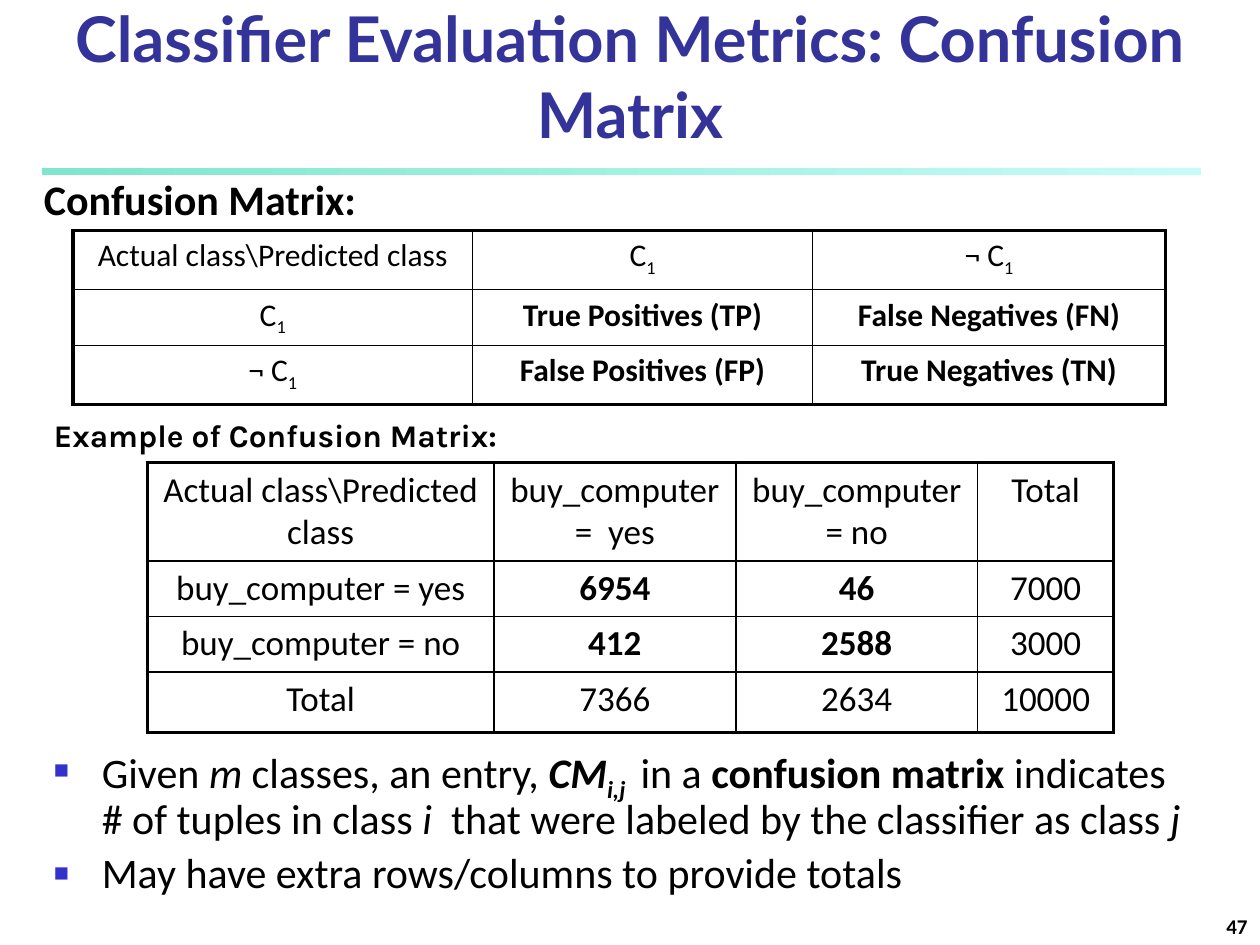
from lxml import etree
from pptx import Presentation
from pptx.dml.color import RGBColor
from pptx.enum.shapes import MSO_SHAPE
from pptx.enum.text import MSO_ANCHOR, MSO_AUTO_SIZE, PP_ALIGN
from pptx.oxml.ns import qn
from pptx.util import Inches, Pt

CENTER, LEFT, RIGHT = PP_ALIGN.CENTER, PP_ALIGN.LEFT, PP_ALIGN.RIGHT
TOP, BOTTOM = MSO_ANCHOR.TOP, MSO_ANCHOR.BOTTOM
RECTANGLE = MSO_SHAPE.RECTANGLE
FIXED = MSO_AUTO_SIZE.NONE
TITLE_ONLY = 5

C1 = [("C", ""), ("1", "s")]
NOT_C1 = [("¬ C", ""), ("1", "s")]
CLASS_HEADER = "Actual class\\Predicted class"

DEFINITION_ROWS = [
    [CLASS_HEADER, C1, NOT_C1],
    [C1, [("True Positives (TP)", "b")], [("False Negatives (FN)", "b")]],
    [NOT_C1, [("False Positives (FP)", "b")], [("True Negatives (TN)", "b")]],
]
EXAMPLE_ROWS = [
    [CLASS_HEADER, "buy_computer =  yes", "buy_computer = no", "Total"],
    ["buy_computer = yes", [("6954", "b")], [("46", "b")], "7000"],
    ["buy_computer = no", [("412", "b")], [("2588", "b")], "3000"],
    ["Total", "7366", "2634", "10000"],
]
NOTES = [
    [("Given", ""), (" m", "i"), (" classes, an entry, ", ""), ("CM", "bi"),
     ("i,j ", "bis"), (" in a ", ""), ("confusion matrix", "b"),
     (" indicates # of tuples in class ", ""), ("i", "i"),
     ("  that were labeled by the classifier as class ", ""), ("j", "i")],
    "May have extra rows/columns to provide totals",
]


def color(value):
    return RGBColor.from_string(value)


class SlideBuilder:
    font = "Calibri"
    ink = "000000"
    bullet_ink = "3333CC"
    outer_line = 2.25
    inner_line = 1

    def __init__(self, page):
        self.page = page

    def add_spans(self, para, content, size, align=LEFT, font=None, ink=None):
        para.alignment = align
        spans = [(content, "")] if isinstance(content, str) else content
        for text, marks in spans:
            span = para.add_run()
            span.text = text
            style = {"name": font or self.font, "size": Pt(size),
                     "bold": "b" in marks, "italic": "i" in marks}
            for name, value in style.items():
                setattr(span.font, name, value)
            span.font.color.rgb = color(ink or self.ink)
            if "s" in marks:
                span._r.get_or_add_rPr().set("baseline", "-25000")

    def title(self, text, bounds, size, font, ink):
        box = self.page.shapes.title
        box.left, box.top, box.width, box.height = map(Inches, bounds)
        frame = box.text_frame
        frame.auto_size = FIXED
        frame.vertical_anchor = BOTTOM
        self.add_spans(frame.paragraphs[0], [(text, "b")], size, CENTER, font, ink)

    def rule(self, bounds, start, end):
        bar = self.page.shapes.add_shape(RECTANGLE, *map(Inches, bounds))
        bar.shadow.inherit = False
        bar.line.fill.background()
        bar.fill.gradient()
        bar.fill.gradient_angle = 0
        for stop, value in zip(bar.fill.gradient_stops, (start, end)):
            stop.color.rgb = color(value)

    def text_frame(self, bounds, anchor=TOP, wrap=True):
        box = self.page.shapes.add_textbox(*map(Inches, bounds))
        frame = box.text_frame
        frame.word_wrap = wrap
        frame.vertical_anchor = anchor
        return frame

    def label(self, text, bounds, size, align=LEFT, font=None, anchor=TOP, wrap=True):
        frame = self.text_frame(bounds, anchor, wrap)
        self.add_spans(frame.paragraphs[0], [(text, "b")], size, align, font)

    def bullets(self, items, bounds, size):
        frame = self.text_frame(bounds)
        for index, item in enumerate(items):
            para = frame.add_paragraph() if index else frame.paragraphs[0]
            para.line_spacing = 0.9
            para.space_before = Pt(size * 0.2)
            self.add_spans(para, item, size)
            self.bullet(para)

    def bullet(self, para):
        properties = para._p.get_or_add_pPr()
        indent = Inches(0.38)
        properties.set("marL", str(indent))
        properties.set("indent", str(-indent))
        ink = etree.SubElement(properties, qn("a:buClr"))
        etree.SubElement(ink, qn("a:srgbClr"), val=self.bullet_ink)
        etree.SubElement(properties, qn("a:buSzPct"), val="60000")
        etree.SubElement(properties, qn("a:buFont"), typeface="Arial")
        etree.SubElement(properties, qn("a:buChar"), char="■")

    def table(self, rows, left, top, widths, heights, size):
        bounds = left, top, sum(widths), sum(heights)
        frame = self.page.shapes.add_table(len(rows), len(widths), *map(Inches, bounds))
        table = frame.table
        table.first_row = table.horz_banding = False
        for column, width in zip(table.columns, widths):
            column.width = Inches(width)
        for row, height in zip(table.rows, heights):
            row.height = Inches(height)
        for row_index, row in enumerate(rows):
            for column_index, content in enumerate(row):
                cell = table.cell(row_index, column_index)
                cell.fill.background()
                self.add_spans(cell.text_frame.paragraphs[0], content, size, CENTER)
                self.borders(cell, {
                    "L": column_index == 0, "R": column_index == len(widths) - 1,
                    "T": row_index == 0, "B": row_index == len(rows) - 1})

    def borders(self, cell, outer_sides):
        properties = cell._tc.get_or_add_tcPr()
        for position, (side, is_outer) in enumerate(outer_sides.items()):
            width = self.outer_line if is_outer else self.inner_line
            line = etree.Element(qn(f"a:ln{side}"), w=str(Pt(width)))
            fill = etree.SubElement(line, qn("a:solidFill"))
            etree.SubElement(fill, qn("a:srgbClr"), val=self.ink)
            properties.insert(position, line)


def main():
    deck = Presentation()
    deck.slide_width, deck.slide_height = Inches(10), Inches(7.5)
    slide = SlideBuilder(deck.slides.add_slide(deck.slide_layouts[TITLE_ONLY]))
    slide.rule((0.33, 1.33, 9.2, 0.06), "7FE6CB", "C5FCF7")
    slide.title("Classifier Evaluation Metrics: Confusion Matrix",
                (0, 0, 10, 1.25), 36, "Lato", "333399")
    slide.table(EXAMPLE_ROWS, 1.17, 3.67, [2.75, 1.92, 1.92, 1.08],
                [0.77, 0.43, 0.43, 0.48], 20)
    slide.bullets(NOTES, (0.33, 5.88, 9.25, 1.38), 24)
    slide.label("Confusion Matrix:", (0.25, 1.33, 2.85, 0.5), 24)
    slide.table(DEFINITION_ROWS, 0.58, 1.83, [3.17, 2.7, 2.8],
                [0.47, 0.42, 0.47], 18)
    slide.label("Example of Confusion Matrix:", (0.33, 3.25, 3.9, 0.4), 18,
                font="Karla", wrap=False)
    slide.label("47", (7.92, 7.08, 2.08, 0.42), 12, RIGHT, anchor=BOTTOM)
    deck.save("out.pptx")


if __name__ == "__main__":
    main()
